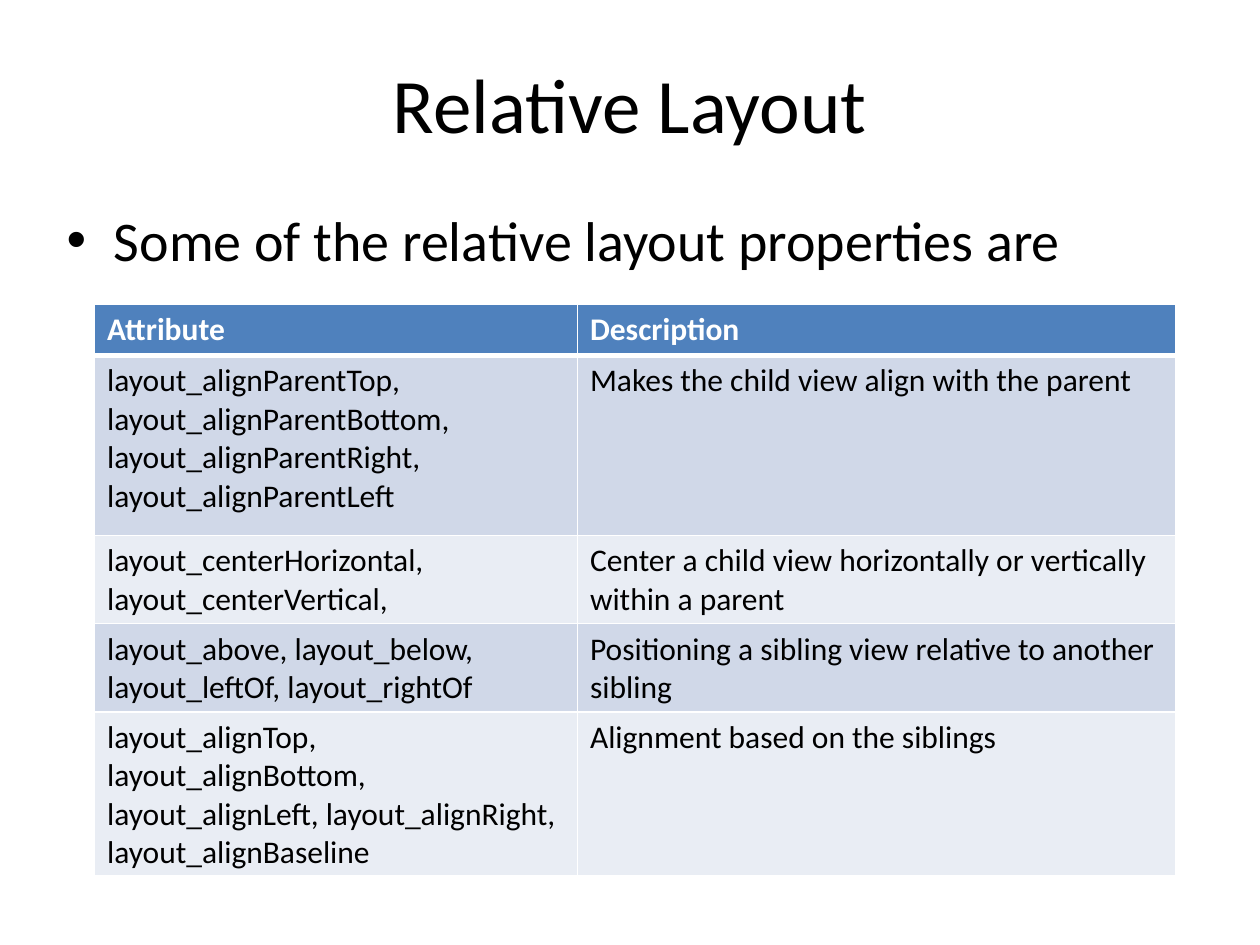
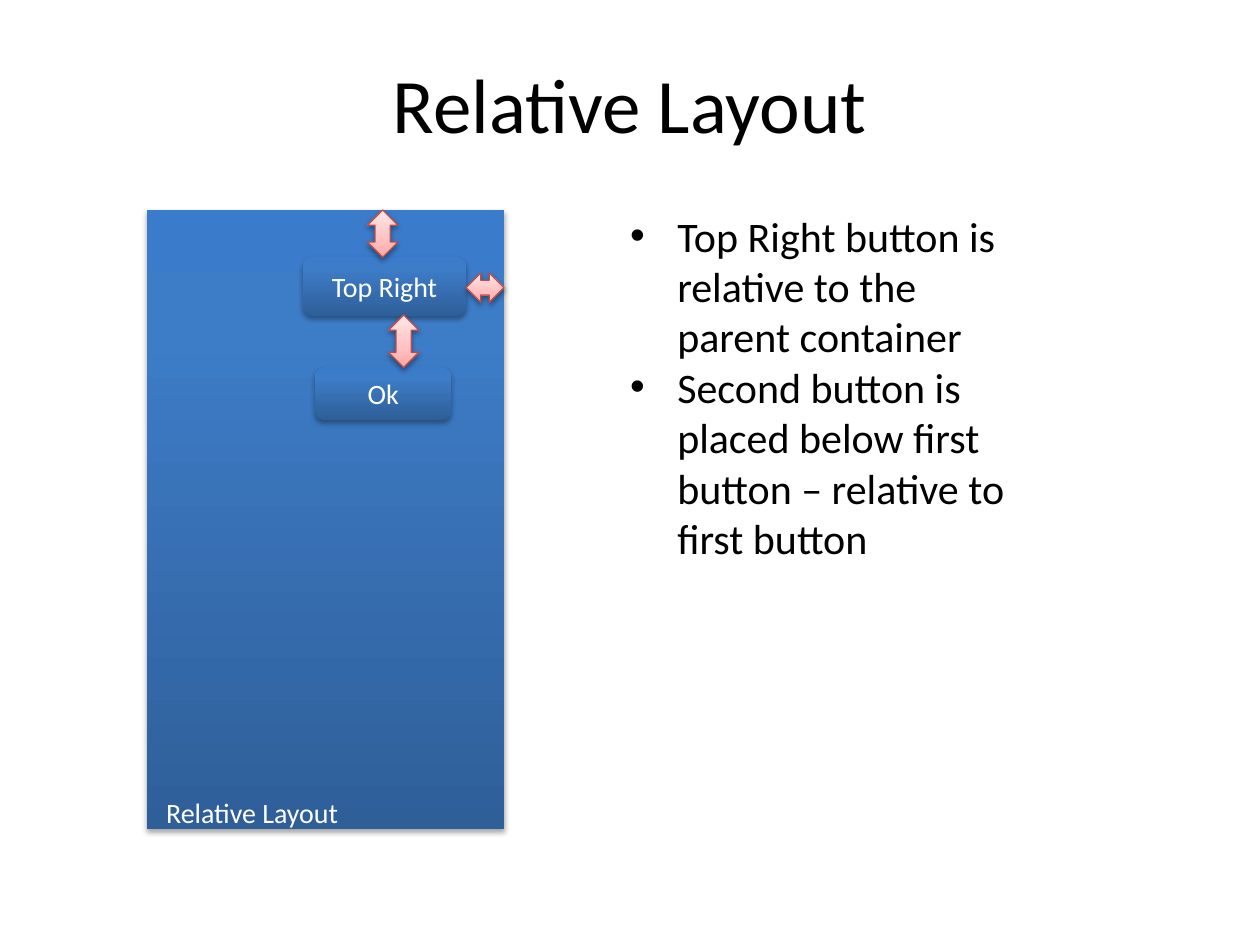
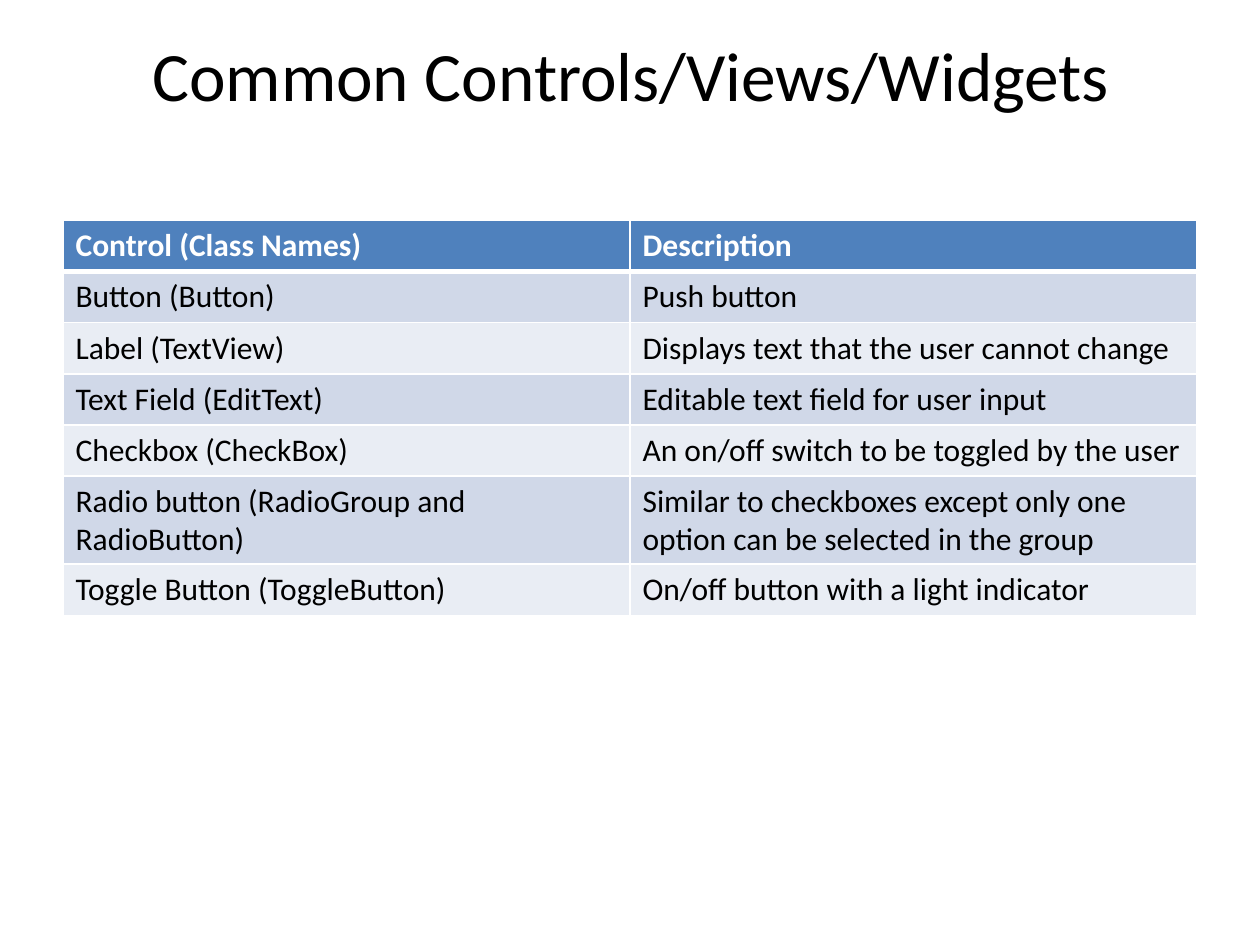
from lxml.etree import SubElement
from pptx import Presentation
from pptx.dml.color import RGBColor
from pptx.enum.shapes import MSO_SHAPE as Preset
from pptx.enum.text import MSO_ANCHOR as Anchor, PP_ALIGN as Align
from pptx.oxml.ns import qn
from pptx.util import Pt

FONT = "Calibri"
BLACK = RGBColor(0x00, 0x00, 0x00)
WHITE = RGBColor(0xFF, 0xFF, 0xFF)
HEADER_BLUE = RGBColor(0x4F, 0x81, 0xBD)
BANDS = [RGBColor(0xE9, 0xED, 0xF4), RGBColor(0xD0, 0xD8, 0xE8)]
ARROW_LINE = RGBColor(0xBF, 0x4C, 0x48)
BLUE_STOPS = [(0, RGBColor(0x2F, 0x5F, 0x99)), (80, RGBColor(0x3D, 0x7C, 0xC7)),
              (100, RGBColor(0x3A, 0x7C, 0xCB))]
PINK_STOPS = [(0, RGBColor(0xFF, 0xA6, 0xA5)), (35, RGBColor(0xFF, 0xC0, 0xBF)),
              (100, RGBColor(0xFF, 0xE7, 0xE7))]


def write_text(frame, text, size=18, color=BLACK, bold=False, align=Align.LEFT,
               anchor=Anchor.TOP, bullet=False, before=0, inset=None):
    """Write one paragraph for each line of text."""
    frame.word_wrap = True
    frame.vertical_anchor = anchor
    if inset is not None:
        frame.margin_left = frame.margin_right = Pt(inset)
        frame.margin_top = frame.margin_bottom = Pt(inset)
    for index, line in enumerate(text.split("\n")):
        paragraph = frame.add_paragraph() if index else frame.paragraphs[0]
        paragraph.alignment = align
        paragraph.space_before = Pt(before)
        run = paragraph.add_run()
        run.text = line
        run.font.name = FONT
        run.font.size = Pt(size)
        run.font.bold = bold
        run.font.color.rgb = color
        if bullet:
            properties = paragraph._p.get_or_add_pPr()
            properties.set("marL", str(Pt(27)))
            properties.set("indent", str(Pt(-27)))
            SubElement(properties, qn("a:buFont"), typeface="Arial")
            SubElement(properties, qn("a:buChar"), char="•")


def add_solid(parent, tag, color, alpha=100):
    """Add a colour, with its opacity in percent, below a new element."""
    element = SubElement(parent, qn(tag))
    value = SubElement(element, qn("a:srgbClr"), val=str(color))
    if alpha < 100:
        SubElement(value, qn("a:alpha"), val=str(alpha * 1000))
    return element


presentation = Presentation()
presentation.slide_width, presentation.slide_height = Pt(720), Pt(540)
blank = presentation.slide_layouts[6]
slides = [presentation.slides.add_slide(blank) for _ in range(3)]
properties_slide, diagram_slide, controls_slide = slides

# Titles
titles = [
    (properties_slide, "Relative Layout", 44, (36, 21.6, 648, 74.2)),
    (diagram_slide, "Relative Layout", 44, (36, 21.6, 648, 74.2)),
    (controls_slide, "Common Controls/Views/Widgets", 39.6, (31, 18, 659, 48)),
]
for slide, title, size, box in titles:
    shape = slide.shapes.add_textbox(*map(Pt, box))
    write_text(shape.text_frame, title, size=size, align=Align.CENTER, anchor=Anchor.MIDDLE)

# Introduction to the layout properties
shape = properties_slide.shapes.add_textbox(Pt(31), Pt(114), Pt(659), Pt(78))
write_text(shape.text_frame, "Some of the relative layout properties are",
           size=32, bullet=True, before=6.4)

# Tables: blue header row, then alternating bands
property_rows = [
    ("Attribute", "Description"),
    ("layout_alignParentTop,\nlayout_alignParentBottom,\n"
     "layout_alignParentRight,\nlayout_alignParentLeft",
     "Makes the child view align with the parent"),
    ("layout_centerHorizontal,\nlayout_centerVertical,",
     "Center a child view horizontally or vertically within a parent"),
    ("layout_above, layout_below, layout_leftOf, layout_rightOf",
     "Positioning a sibling view relative to another sibling"),
    ("layout_alignTop, layout_alignBottom, layout_alignLeft, layout_alignRight, "
     "layout_alignBaseline",
     "Alignment based on the siblings"),
]
control_rows = [
    ("Control (Class Names)", "Description"),
    ("Button (Button)", "Push button"),
    ("Label (TextView)", "Displays text that the user cannot change"),
    ("Text Field (EditText)", "Editable text field for user input"),
    ("Checkbox (CheckBox)", "An on/off switch to be toggled by the user"),
    ("Radio button (RadioGroup and RadioButton)",
     "Similar to checkboxes except only one option can be selected in the group"),
    ("Toggle Button (ToggleButton)", "On/off button with a light indicator"),
]
ROW_HEIGHT = 29.2
tables = [
    (properties_slide, property_rows, 54, 174, (276, 342), {1: 102.8}),
    (controls_slide, control_rows, 36, 126, (324, 324), {}),
]
for slide, rows, left, top, widths, tall_rows in tables:
    table = slide.shapes.add_table(len(rows), len(widths), Pt(left), Pt(top),
                                   Pt(sum(widths)), Pt(ROW_HEIGHT * len(rows))).table
    for column, width in zip(table.columns, widths):
        column.width = Pt(width)
    for row_index, texts in enumerate(rows):
        header = row_index == 0
        table.rows[row_index].height = Pt(tall_rows.get(row_index, ROW_HEIGHT))
        for column_index, text in enumerate(texts):
            cell = table.cell(row_index, column_index)
            write_text(cell.text_frame, text, color=WHITE if header else BLACK, bold=header)
            borders = {"L": 1, "R": 1, "T": 3 if row_index == 1 else 1, "B": 3 if header else 1}
            for side, width in borders.items():
                border = SubElement(cell._tc.get_or_add_tcPr(), qn(f"a:ln{side}"), w=str(Pt(width)))
                add_solid(border, "a:solidFill", WHITE)
            cell.fill.solid()
            cell.fill.fore_color.rgb = HEADER_BLUE if header else BANDS[row_index % 2]

# Phone screen with two buttons, and arrows for their distances
diagram = [
    (Preset.RECTANGLE, (84, 120, 204, 354), ""),
    (Preset.ROUNDED_RECTANGLE, (173, 147, 93.5, 33.5), "Top Right"),
    (Preset.ROUNDED_RECTANGLE, (180, 210, 78, 30), "Ok"),
    (Preset.LEFT_RIGHT_ARROW, (266.4, 156, 21.6, 16.8), ""),
    (Preset.UP_DOWN_ARROW, (210, 120, 17.4, 27), ""),
    (Preset.UP_DOWN_ARROW, (222, 180, 17.4, 30), ""),
]
for preset, box, label in diagram:
    is_arrow = preset in (Preset.LEFT_RIGHT_ARROW, Preset.UP_DOWN_ARROW)
    shape = diagram_slide.shapes.add_shape(preset, *map(Pt, box))
    shape.fill.gradient()
    shape.fill.gradient_angle = 90
    stops = shape._element.spPr.find(".//" + qn("a:gsLst"))
    for stop in list(stops):
        stops.remove(stop)
    for position, color in PINK_STOPS if is_arrow else BLUE_STOPS:
        add_solid(stops, "a:gs", color).set("pos", str(position * 1000))
    if is_arrow:
        shape.line.color.rgb = ARROW_LINE
        shape.line.width = Pt(0.75)
    else:
        shape.line.fill.background()
    shape.shadow.inherit = False
    effects = shape._element.spPr.find(qn("a:effectLst"))
    shadow = add_solid(effects, "a:outerShdw", BLACK, alpha=38 if is_arrow else 35)
    shadow.set("blurRad", str(Pt(3.1)))
    shadow.set("dist", str(Pt(1.6 if is_arrow else 1.8)))
    shadow.set("dir", "5400000")
    shadow.set("rotWithShape", "0")
    if label:
        write_text(shape.text_frame, label, size=16, color=WHITE,
                   align=Align.CENTER, anchor=Anchor.MIDDLE)

# Explanation beside the screen, and the screen's caption
shape = diagram_slide.shapes.add_textbox(Pt(360), Pt(120), Pt(228), Pt(204))
write_text(shape.text_frame,
           "Top Right button is relative to the parent container\n"
           "Second button is placed below first button – relative to first button",
           size=24, bullet=True, inset=0)
shape = diagram_slide.shapes.add_textbox(Pt(95), Pt(454.5), Pt(181.5), Pt(19.5))
write_text(shape.text_frame, "Relative Layout", size=16, color=WHITE, inset=0)

presentation.save("out.pptx")
